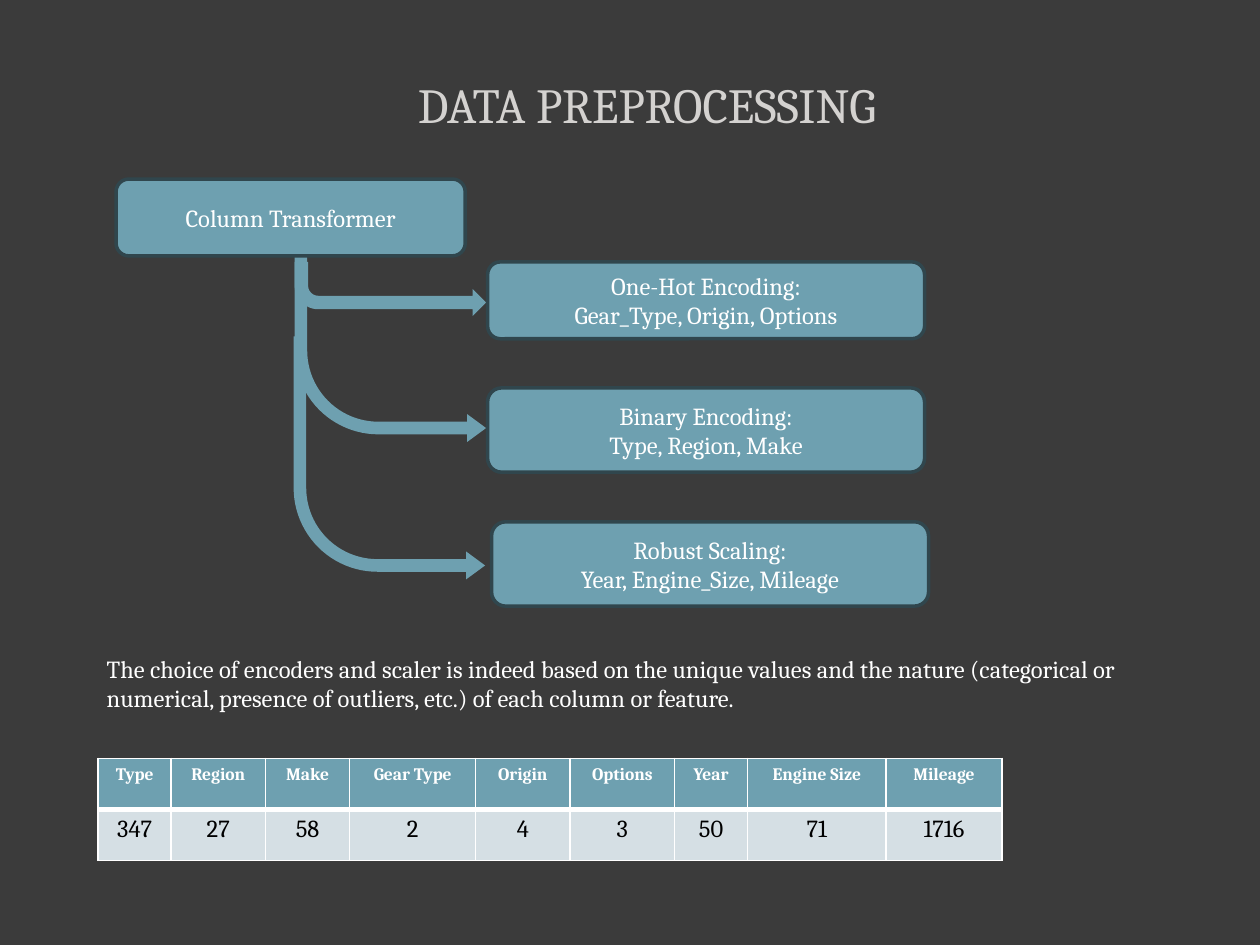
from lxml import etree
from pptx import Presentation
from pptx.dml.color import RGBColor
from pptx.enum.shapes import MSO_SHAPE
from pptx.enum.text import MSO_ANCHOR, MSO_AUTO_SIZE, PP_ALIGN
from pptx.oxml.ns import qn
from pptx.util import Cm, Pt

BENT_ARROW, ROUNDED = MSO_SHAPE.BENT_ARROW, MSO_SHAPE.ROUNDED_RECTANGLE
TOP, MIDDLE = MSO_ANCHOR.TOP, MSO_ANCHOR.MIDDLE
LEFT, CENTER = PP_ALIGN.LEFT, PP_ALIGN.CENTER
NO_FIT = MSO_AUTO_SIZE.NONE

# Content; positions are left, top, width, height in cm
TITLE = "DATA PREPROCESSING"
NOTE = ("The choice of encoders and scaler is indeed based on the unique values "
        "and the nature (categorical or numerical, presence of outliers, etc.) "
        "of each column or feature.")
BOXES = [
    (["Column Transformer"], (2.34, 3.61, 7.04, 1.55)),
    (["One-Hot Encoding:", "Gear_Type, Origin, Options"], (9.83, 5.28, 8.81, 1.55)),
    (["Binary Encoding:", "Type, Region, Make"], (9.83, 7.82, 8.81, 1.7)),
    (["Robust Scaling:", "Year, Engine_Size, Mileage"], (9.91, 10.52, 8.81, 1.7)),
]
LONG_BEND = (0.066, 0.073, 0.099, 0.438)
ARROWS = [
    ((5.94, 5.28, 3.86, 1.09), ()),
    ((5.94, 4.01, 3.86, 4.9), LONG_BEND),
    ((5.92, 6.78, 3.86, 4.9), LONG_BEND),
]
UNIQUE_VALUES = [  # feature, unique values, column width
    ("Type", "347", 1.47), ("Region", "27", 1.9), ("Make", "58", 1.7),
    ("Gear Type", "2", 2.54), ("Origin", "4", 1.9), ("Options", "3", 2.11),
    ("Year", "50", 1.47), ("Engine Size", "71", 2.79), ("Mileage", "1716", 2.34),
]
ROW_HEIGHT = 1.03

THEME = {
    "font": "Cambria", "title_size": 28, "text_size": 14, "header_size": 10,
    "background": "3B3B3B", "title": "D4D2D0", "text": "FFFFFF",
    "accent": "6EA0B0", "outline": "30464D", "band": "D5DFE4", "dark": "000000",
}


def color(name):
    return RGBColor.from_string(THEME[name])


def cm(values):
    return [Cm(v) for v in values]


def write(tf, lines, size="text_size", ink="text", bold=False, align=CENTER):
    for i, line in enumerate(lines):
        p = tf.paragraphs[0] if i == 0 else tf.add_paragraph()
        p.alignment = align
        r = p.add_run()
        r.text = line
        r.font.name, r.font.size, r.font.bold = THEME["font"], Pt(THEME[size]), bold
        r.font.color.rgb = color(ink)


def add_filled(shapes, kind, place):
    sp = shapes.add_shape(kind, *cm(place))
    sp.shadow.inherit = False
    sp.fill.solid()
    sp.fill.fore_color.rgb = color("accent")
    return sp


def add_borders(cell, **widths):
    tc_pr = cell._tc.get_or_add_tcPr()
    for side in "LRTB":
        ln = etree.SubElement(tc_pr, qn(f"a:ln{side}"), w=str(Pt(widths.get(side, 1))))
        fill = etree.SubElement(ln, qn("a:solidFill"))
        etree.SubElement(fill, qn("a:srgbClr"), val=THEME["text"])


def main():
    prs = Presentation()
    prs.slide_width, prs.slide_height = Cm(25.4), Cm(19.05)
    s = prs.slides.add_slide(prs.slide_layouts[5])
    s.background.fill.solid()
    s.background.fill.fore_color.rgb = color("background")

    # Title
    title = s.shapes.title
    title.left, title.top, title.width, title.height = cm((1.32, 1.37, 23.44, 1.8))
    title.text_frame.auto_size = NO_FIT
    title.text_frame.vertical_anchor = TOP
    write(title.text_frame, [TITLE], size="title_size", ink="title")

    # Arrows, mirrored to run down and then right
    for place, adjustments in ARROWS:
        arrow = add_filled(s.shapes, BENT_ARROW, place)
        arrow.line.fill.background()
        arrow.rotation = 180
        arrow._element.spPr.find(qn("a:xfrm")).set("flipH", "1")
        for i, value in enumerate(adjustments):
            arrow.adjustments[i] = value

    # Transformer and its steps
    for lines, place in BOXES:
        box = add_filled(s.shapes, ROUNDED, place)
        box.line.color.rgb = color("outline")
        box.line.width = Pt(2)
        box.text_frame.vertical_anchor = MIDDLE
        write(box.text_frame, lines)

    # Note
    tf = s.shapes.add_textbox(*cm((1.9, 13.06, 21.59, 1.45))).text_frame
    tf.word_wrap = True
    write(tf, [NOTE], align=LEFT)

    # Table of unique values
    widths = [width for *_, width in UNIQUE_VALUES]
    table = s.shapes.add_table(2, len(widths), *cm(
        (1.98, 15.29, sum(widths), 2 * ROW_HEIGHT))).table
    for row in table.rows:
        row.height = Cm(ROW_HEIGHT)
    for col, (feature, count, width) in enumerate(UNIQUE_VALUES):
        table.columns[col].width = Cm(width)
        header, value = table.cell(0, col), table.cell(1, col)
        write(header.text_frame, [feature], size="header_size", bold=True)
        write(value.text_frame, [count], ink="dark")
        add_borders(header, B=3)
        add_borders(value, T=3)
        for cell, fill in ((header, "accent"), (value, "band")):
            cell.fill.solid()
            cell.fill.fore_color.rgb = color(fill)

    prs.save("out.pptx")


if __name__ == "__main__":
    main()
